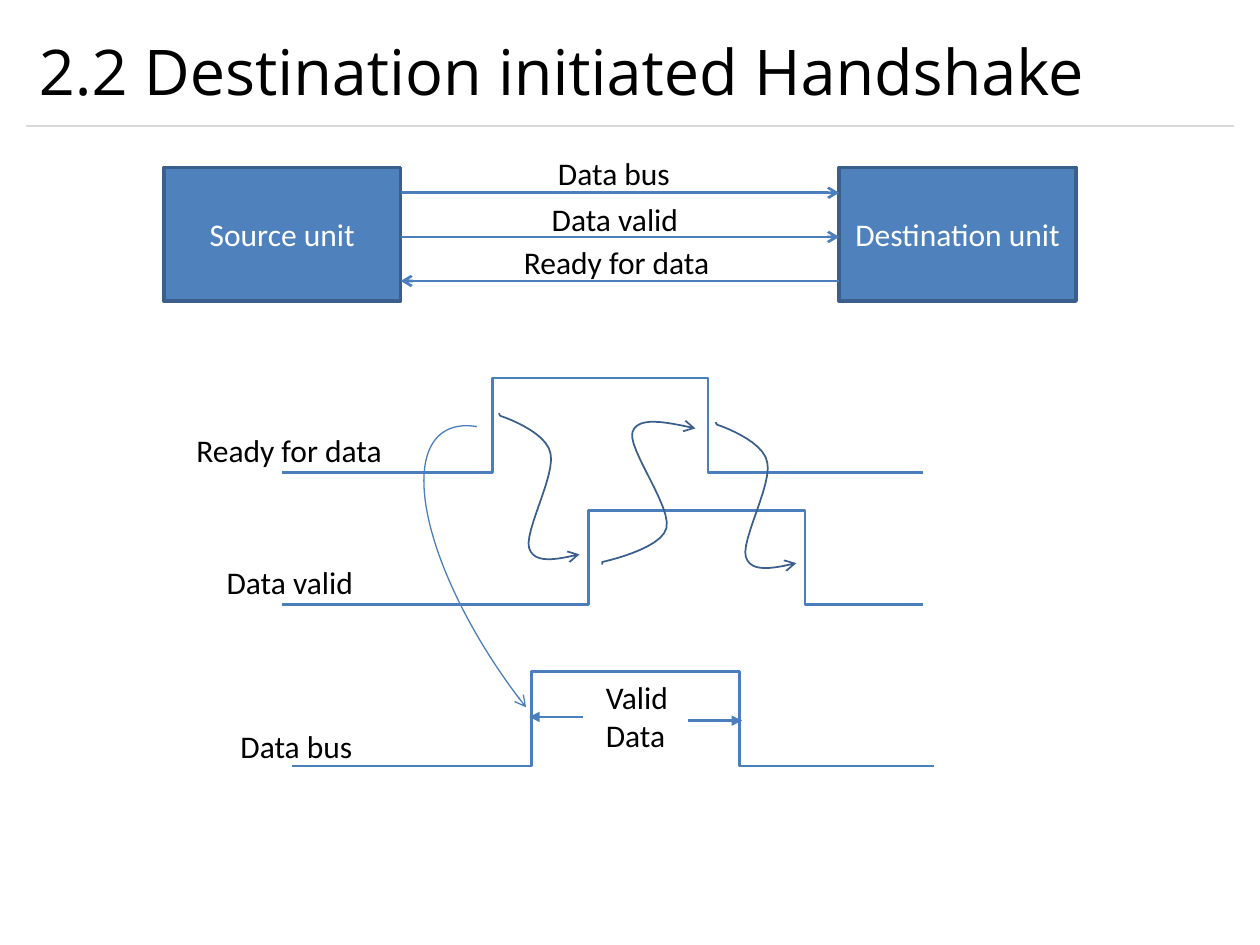
from typing import NamedTuple

import lxml.etree
import pptx
import pptx.dml.color
import pptx.enum.shapes
import pptx.enum.text
import pptx.oxml.ns
import pptx.util

Inches = pptx.util.Inches
Pt = pptx.util.Pt
RGB = pptx.dml.color.RGBColor
Kind = pptx.enum.shapes.MSO_CONNECTOR
Form = pptx.enum.shapes.MSO_SHAPE
Anchor = pptx.enum.text.MSO_ANCHOR
Align = pptx.enum.text.PP_ALIGN
qn = pptx.oxml.ns.qn

BLUE = RGB(0x4F, 0x81, 0xBD)
EDGE = RGB(0x3A, 0x5F, 0x8C)
WIRE = RGB(0x4B, 0x7E, 0xBC)
GRAY = RGB(0xD9, 0xD9, 0xD9)
BLACK = RGB(0, 0, 0)
WHITE = RGB(255, 255, 255)

Point = tuple[float, float]


class Label(NamedTuple):
    text: str
    left: float
    top: float
    width: float
    height: float = 0.4


class Wire(NamedTuple):
    start: Point
    end: Point
    tip: str = "arrow"


class Wave(NamedTuple):
    left: float
    base: float
    rise: float
    fall: float


class Curve(NamedTuple):
    start: Point
    bends: list[tuple[Point, Point, Point]]
    hook: Point
    shift: Point = (0, 0)


LABELS = [
    Label("Data bus", 4.33, 1.17, 1.18),
    Label("Data valid", 4.28, 1.54, 1.29),
    Label("Ready for data", 4.06, 1.88, 1.72),
    Label("Ready for data", 1.46, 3.37, 1.72),
    Label("Data valid", 1.7, 4.42, 1.29),
    Label("Data bus", 1.81, 5.72, 1.18),
    Label("Valid Data", 4.71, 5.33, 1.18),
]
UNITS = [
    Label("Source unit", 1.3, 1.33, 1.88, 1.06),
    Label("Destination unit", 6.66, 1.33, 1.88, 1.06),
]
WIRES = [
    Wire((3.18, 1.53), (6.66, 1.53)),
    Wire((3.18, 1.88), (6.66, 1.88)),
    Wire((6.66, 2.23), (3.18, 2.23)),
    Wire((5.46, 5.72), (5.89, 5.72), "triangle"),
    Wire((4.63, 5.69), (4.2, 5.69), "triangle"),
]
WAVES = [
    Wave(2.24, 3.75, 3.91, 5.62),
    Wave(2.24, 4.8, 4.67, 6.39),
    Wave(2.32, 6.08, 4.22, 5.87),
]
DOWN = [
    ((4.42, 4.44), (4.24, 4.48), (4.2, 4.35)),
    ((4.16, 4.22), (4.41, 3.77), (4.37, 3.6)),
    ((4.34, 3.42), (3.97, 3.3), (3.97, 3.3)),
]
UP = [
    ((5.29, 3.35), (5.06, 3.3), (5.02, 3.43)),
    ((4.98, 3.56), (5.33, 4.02), (5.29, 4.19)),
    ((5.25, 4.36), (4.78, 4.46), (4.78, 4.46)),
]
CURVES = [
    Curve((4.6, 4.4), DOWN, (3.96, 3.28)),
    Curve((5.52, 3.4), UP, (4.78, 4.48)),
    Curve((4.6, 4.4), DOWN, (3.96, 3.28), (1.72, 0.07)),
]
HALF, SPAN, HIGH, STEPS = 2.56, 5.09, 0.75, 12


def apply(item, values: dict) -> None:
    for name, value in values.items():
        setattr(item, name, value)


def stroke(shape, color: RGB, width: float) -> None:
    shape.line.color.rgb = color
    shape.line.width = Pt(width)


def point(shape, end: str, tip: str) -> None:
    line = shape.element.spPr.find(qn("a:ln"))
    lxml.etree.SubElement(line, qn(f"a:{end}"), type=tip)


def join(slide, kind: Kind, start: Point, end: Point, color: RGB = WIRE, width: float = 1.5):
    line = slide.shapes.add_connector(kind, *map(Inches, start + end))
    stroke(line, color, width)
    lxml.etree.SubElement(line.element.spPr, qn("a:effectLst"))
    return line


def write(shape, text: str, size: float, face: str, color: RGB, frame: dict, align: Align) -> None:
    apply(shape.text_frame, {"word_wrap": True, **frame})
    para = shape.text_frame.paragraphs[0]
    apply(para, {"text": text, "alignment": align})
    apply(para.font, {"size": Pt(size), "name": face})
    para.font.color.rgb = color


def label(slide, item: Label, size: float = 18, face: str = "Calibri", anchor: Anchor = Anchor.TOP) -> None:
    box = slide.shapes.add_textbox(*map(Inches, item[1:]))
    write(box, item.text, size, face, BLACK, {"vertical_anchor": anchor}, Align.LEFT)


def unit(slide, item: Label) -> None:
    box = slide.shapes.add_shape(Form.RECTANGLE, *map(Inches, item[1:]))
    box.shadow.inherit = False
    box.fill.solid()
    box.fill.fore_color.rgb = BLUE
    stroke(box, EDGE, 2)
    write(box, item.text, 18, "Calibri", WHITE, {"vertical_anchor": Anchor.MIDDLE}, Align.CENTER)


def wire(slide, item: Wire) -> None:
    point(join(slide, Kind.STRAIGHT, item.start, item.end), "tailEnd", item.tip)


def wave(slide, item: Wave) -> None:
    for side, begin, edge in ((1, item.left, item.rise), (-1, item.left + SPAN, item.fall)):
        line = join(slide, Kind.ELBOW, (begin, item.base), (begin + side * HALF, item.base - HIGH))
        geom = line.element.spPr.find(qn("a:prstGeom"))
        guides = geom.find(qn("a:avLst"))
        if guides is None:
            guides = lxml.etree.SubElement(geom, qn("a:avLst"))
        ratio = round(side * (edge - begin) / HALF * 100000)
        lxml.etree.SubElement(guides, qn("a:gd"), name="adj1", fmla=f"val {ratio}")


def bezier(a: float, b: float, c: float, d: float, t: float) -> float:
    u = 1 - t
    return u**3 * a + 3 * u * u * t * b + 3 * u * t * t * c + t**3 * d


def curve(slide, item: Curve) -> None:
    dots = [item.start]
    for bend in item.bends:
        axes = list(zip(dots[-1], *bend))
        dots += [tuple(bezier(*axis, n / STEPS) for axis in axes) for n in range(1, STEPS + 1)]
    dots.append(item.hook)
    dots = [tuple(Inches(v + s) for v, s in zip(dot, item.shift)) for dot in dots]
    pen = slide.shapes.build_freeform(*dots[0])
    pen.add_line_segments(dots[1:], close=False)
    shape = pen.convert_to_shape()
    shape.shadow.inherit = False
    shape.fill.background()
    stroke(shape, EDGE, 1)
    point(shape, "headEnd", "arrow")


def sweep(slide) -> None:
    arc = slide.shapes.add_shape(Form.ARC, *map(Inches, (3.88, 3.09, 1.44, 3.78)))
    arc.adjustments[0], arc.adjustments[1] = 157.19, 12.65
    arc.rotation = 144.9
    arc.element.spPr.find(qn("a:xfrm")).set("flipV", "1")
    arc.shadow.inherit = False
    arc.fill.background()
    stroke(arc, WIRE, 0.75)
    point(arc, "tailEnd", "arrow")


def main() -> None:
    deck = pptx.Presentation()
    apply(deck, {"slide_width": Inches(10), "slide_height": Inches(7.5)})
    slide = deck.slides.add_slide(deck.slide_layouts[6])
    join(slide, Kind.STRAIGHT, (0.21, 1), (9.79, 1), GRAY, 0.75)
    title = Label("2.2 Destination initiated Handshake", 0.21, 0.12, 9.58, 0.88)
    label(slide, title, 36, "Open Sans", Anchor.MIDDLE)
    for draw, items in ((unit, UNITS), (wire, WIRES), (wave, WAVES), (label, LABELS), (curve, CURVES)):
        for item in items:
            draw(slide, item)
    sweep(slide)
    deck.save("out.pptx")


if __name__ == "__main__":
    main()
